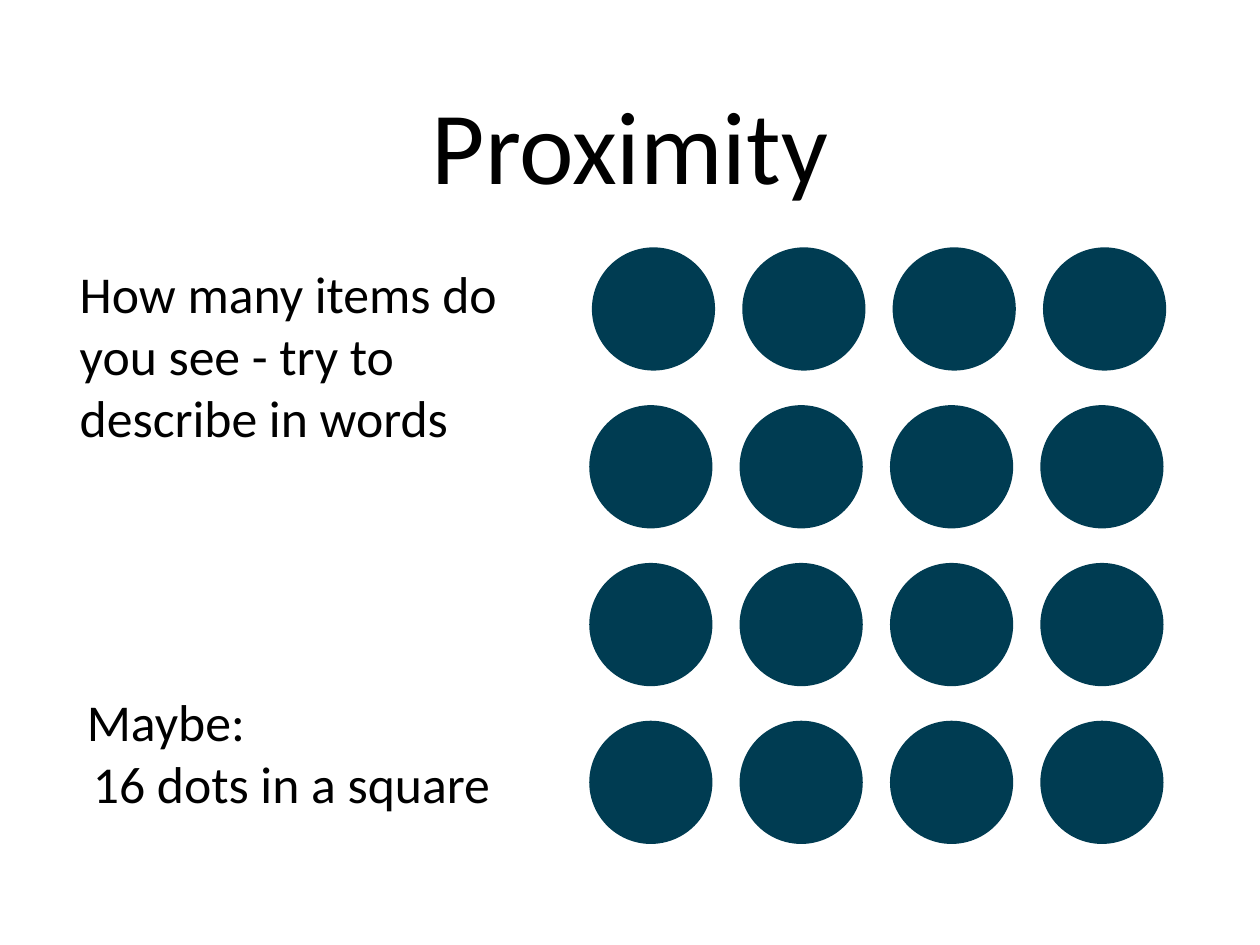
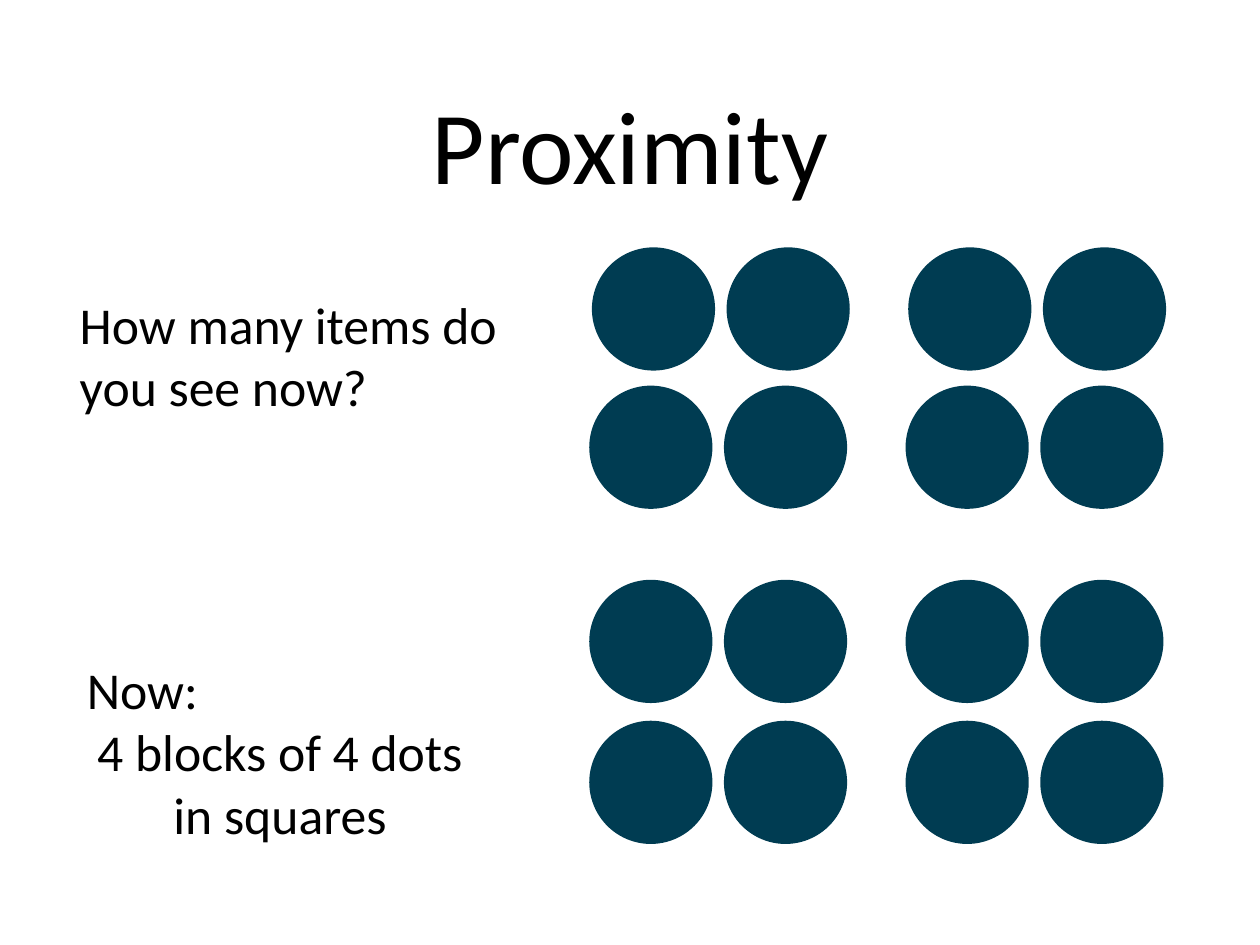
from pptx import Presentation
from pptx.dml.color import RGBColor
from pptx.enum.shapes import MSO_SHAPE
from pptx.enum.text import MSO_ANCHOR, MSO_AUTO_SIZE, PP_ALIGN
from pptx.util import Inches, Pt

BLACK = RGBColor(0x00, 0x00, 0x00)
TEAL = RGBColor(0x00, 0x3C, 0x52)
FONT = "Calibri"
OVAL = MSO_SHAPE.OVAL
MIDDLE = MSO_ANCHOR.MIDDLE
NO_FIT = MSO_AUTO_SIZE.NONE
LEFT, CENTER = PP_ALIGN.LEFT, PP_ALIGN.CENTER

TITLE_ONLY = 5
TITLE_BOX = (1.39, 0.28, 11.44, 2.67)
DOT_SIZE = 1.39
DOTS_LEFT, DOTS_TOP = 6.65, 2.79
TOP_ROW_SHIFT = 0.03
EVEN_COLS = [1.697 * i for i in range(4)]
EVEN_ROWS = [1.78 * i for i in range(4)]
PAIRED_COLS = [0, 1.52, 3.57, 5.09]
PAIRED_ROWS = [0, 1.56, 3.75, 5.34]


def write(tf, lines, size=42, inset=0):
    tf.word_wrap = True
    tf.auto_size = NO_FIT
    tf.vertical_anchor = MIDDLE
    tf.margin_left = tf.margin_right = Inches(inset)
    tf.margin_top = tf.margin_bottom = Inches(inset)
    for i, (text, align) in enumerate(lines):
        p = tf.add_paragraph() if i else tf.paragraphs[0]
        p.alignment = align
        r = p.add_run()
        r.text = text
        r.font.name = FONT
        r.font.size = Pt(size)
        r.font.color.rgb = BLACK


def add_title(s, text, box):
    sp = s.shapes.title
    sp.left, sp.top, sp.width, sp.height = map(Inches, box)
    write(sp.text_frame, [(text, CENTER)], size=84, inset=0.06)


def add_text(s, box, lines):
    write(s.shapes.add_textbox(*map(Inches, box)).text_frame, lines)


def add_dots(shapes, left, top, cols, rows):
    for i, dy in enumerate(rows):
        shift = 0 if i else TOP_ROW_SHIFT
        for dx in cols:
            sp = shapes.add_shape(OVAL, Inches(left + dx + shift), Inches(top + dy),
                                  Inches(DOT_SIZE), Inches(DOT_SIZE))
            sp.shadow.inherit = False
            sp.fill.solid()
            sp.fill.fore_color.rgb = TEAL
            sp.line.fill.background()


def add_proximity_slide(prs, cols, rows, grouped, question, question_box,
                        lead, answer, answer_box):
    s = prs.slides.add_slide(prs.slide_layouts[TITLE_ONLY])
    add_title(s, "Proximity", TITLE_BOX)
    shapes = s.shapes.add_group_shape().shapes if grouped else s.shapes
    add_dots(shapes, DOTS_LEFT, DOTS_TOP, cols, rows)
    add_text(s, question_box, [(question, LEFT)])
    add_text(s, answer_box, [(lead, LEFT), (answer, CENTER)])


def main():
    prs = Presentation()
    prs.slide_width, prs.slide_height = Inches(14.22), Inches(10.66)
    add_proximity_slide(
        prs, EVEN_COLS, EVEN_ROWS, True,
        "How many items do you see - try to describe in words",
        (0.9, 2.93, 4.76, 2.15),
        "Maybe:", "16 dots in a square", (0.98, 7.43, 4.62, 2.1))
    add_proximity_slide(
        prs, PAIRED_COLS, PAIRED_ROWS, False,
        "How many items do you see now?", (0.9, 3.27, 4.76, 1.47),
        "Now:", "4 blocks of 4 dots in squares", (0.98, 7.41, 4.36, 2.13))
    prs.save("out.pptx")


if __name__ == "__main__":
    main()
